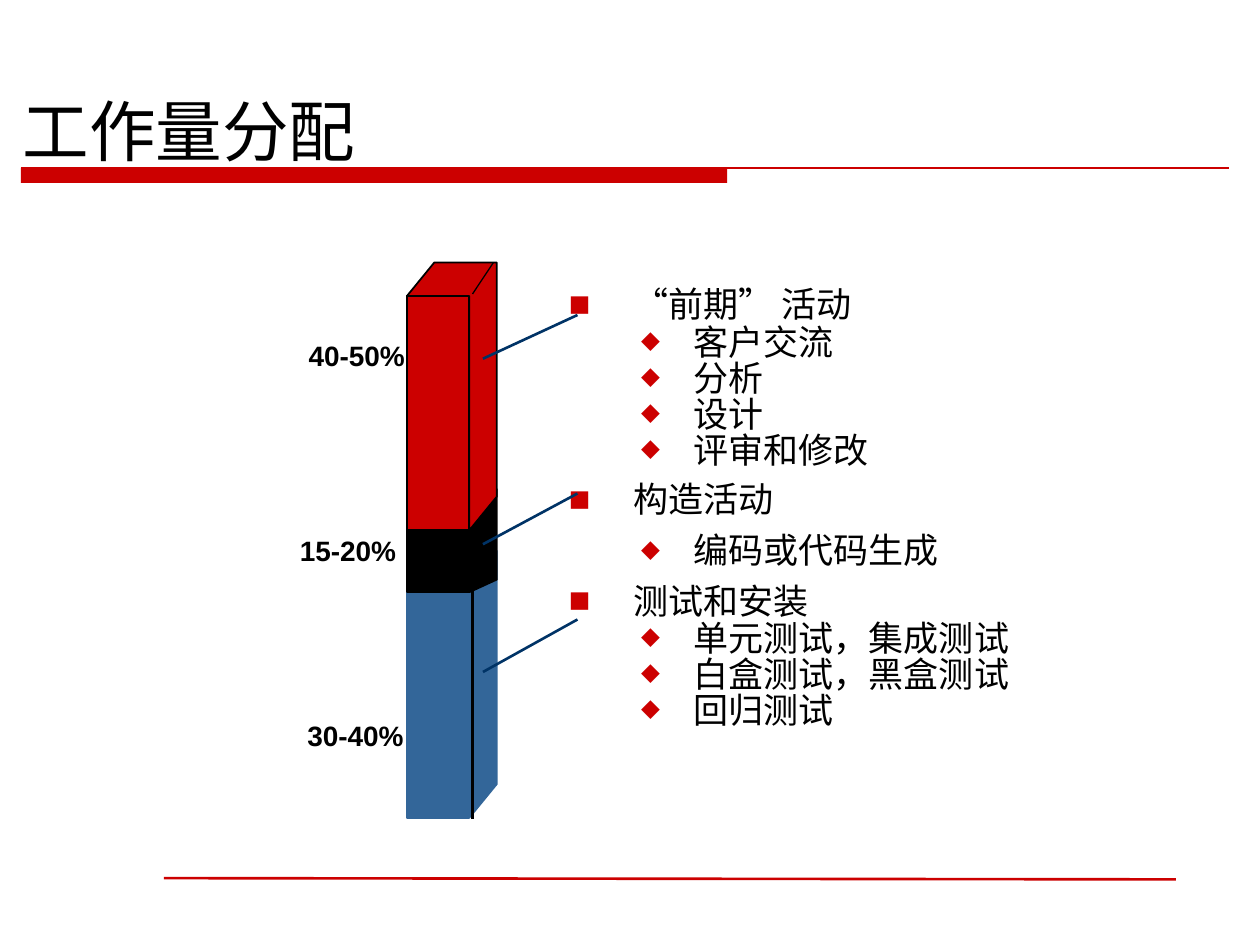
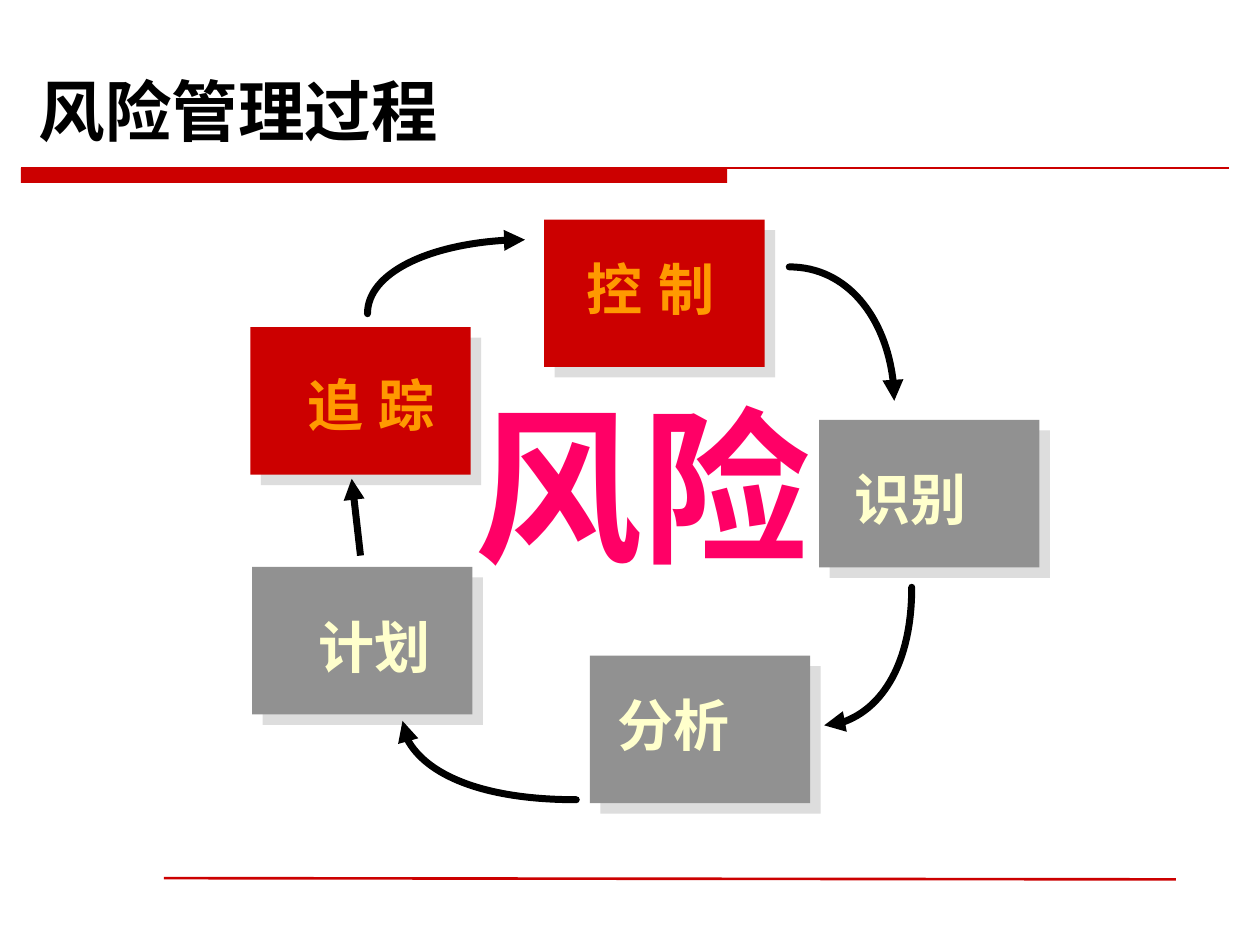
from dataclasses import dataclass

from lxml import etree
from pptx import Presentation
from pptx import util as u
from pptx.dml.color import RGBColor
from pptx.enum import lang, shapes, text
from pptx.oxml import ns

Pt = u.Pt


@dataclass(frozen=True)
class Theme:
    red: str = "CC0000"
    black: str = "000000"
    blue: str = "336699"
    navy: str = "003366"
    gray: str = "919191"
    shade: str = "DDDDDD"
    pink: str = "FF0066"
    orange: str = "FF9900"
    cream: str = "FFFFCC"
    title_font: str = "Noto Sans CJK SC"
    list_font: str = "DejaVu Sans"
    label_font: str = "Arial"
    title_size: int = 38
    list_size: int = 20
    share_size: int = 16
    stage_size: int = 32
    risk_size: int = 96


theme = Theme()

EFFORT_TITLE = ("工作量分配", (6, 50.5, 410, 50), False)
RISK_TITLE = ("风险管理过程", (15, 45.5, 510, 43.5), True)

ACTIVITIES = [
    ("“前期” 活动", theme.title_font, 0.83, ["客户交流", "分析", "设计", "评审和修改"]),
    ("构造活动", theme.list_font, 1.0, ["编码或代码生成"]),
    ("测试和安装", theme.list_font, 1.0,
     ["单元测试，集成测试", "白盒测试，黑盒测试", "回归测试"]),
]
ACTIVITIES_BOX = (318, 162, 280, 302)

BLOCKS = [
    (theme.blue, theme.blue, 334, 467.3, 19.2),
    (theme.black, theme.black, 286.6, 338.4, 7.2),
    (theme.red, theme.black, 169.2, 303, 19.2),
]
COLUMN_LEFT, COLUMN_RIGHT, COLUMN_BACK = 232.5, 268.2, 283.9

SHARES = [
    ("40-50%", 169.2, 192.2),
    ("30-40%", 168.5, 409),
    ("15-20%", 164.2, 303.8),
]
SHARE_SIZE = (76, 24.5)
EFFORT_LINES = [
    ((330, 180), (276, 205), theme.navy, 1.5),
    ((330, 282), (276, 311), theme.navy, 1.5),
    ((330, 354), (276, 384), theme.navy, 1.5),
    ((270, 336), (270, 468), theme.black, 1.5),
    ((270, 168), (282, 150), theme.black, 0.75),
]

RISK = ("风险", 264, 228, 220, 111)
STAGE_SIZE = (126, 84.25)
STAGE_LABEL_SIZE = (94, 41.8)
STAGES = [
    ("识别", (468, 240), (481, 266.4), theme.gray, theme.cream),
    ("控 制", (311, 125.5), (328.3, 146.2), theme.red, theme.orange),
    ("追 踪", (143, 187), (168.5, 212.4), theme.red, theme.orange),
    ("计划", (144, 324), (175, 350.6), theme.gray, theme.cream),
    ("分析", (337, 374.7), (345.6, 395.3), theme.gray, theme.cream),
]
CURVES = [
    ((451, 152.5), (511, 152.5), (511, 229)),
    ((521, 335.6), (521, 414.5), (471, 414.5)),
    ((329.3, 457), (230, 457), (230, 412)),
    ((210, 179.3), (210, 137), (300, 137)),
]
PLAN_TO_TRACK = ((206, 317.5), (201, 273.6))


def points(values):
    return [Pt(value) for value in values]


def rgb(color):
    return RGBColor.from_string(color)


def paint(part, fill=None, line=None, width=1):
    part.shadow.inherit = False
    if fill:
        part.fill.solid()
        part.fill.fore_color.rgb = rgb(fill)
    else:
        part.fill.background()
    if line:
        part.line.color.rgb = rgb(line)
        part.line.width = Pt(width)
    else:
        part.line.fill.background()


def add_rectangle(slide, box, fill, line=None):
    part = slide.shapes.add_shape(shapes.MSO_SHAPE.RECTANGLE, *points(box))
    paint(part, fill, line)
    return part


def add_outline(slide, corners, close):
    start, *rest = [points(corner) for corner in corners]
    builder = slide.shapes.build_freeform(*start, scale=1.0)
    builder.add_line_segments(rest, close=close)
    return builder.convert_to_shape()


def add_arrowhead(part):
    outline = part.line._get_or_add_ln()
    etree.SubElement(outline, ns.qn("a:tailEnd"), type="triangle")


def add_line(slide, start, end, color, width):
    part = slide.shapes.add_connector(
        shapes.MSO_CONNECTOR.STRAIGHT, *points(start), *points(end))
    part.line.color.rgb = rgb(color)
    part.line.width = Pt(width)
    etree.SubElement(part._element.spPr, ns.qn("a:effectLst"))
    return part


def add_curve(slide, start, corner, end):
    handles = [tuple(a + 0.55 * (c - a) for a, c in zip(anchor, corner))
               for anchor in (start, end)]
    part = add_outline(slide, [start, *handles, end], False)
    paint(part, None, theme.black, 4)
    part.line._get_or_add_ln().set("cap", "rnd")
    add_arrowhead(part)
    segments = list(part._element.iter(ns.qn("a:lnTo")))
    bend = etree.SubElement(segments[0].getparent(), ns.qn("a:cubicBezTo"))
    for segment in segments:
        bend.append(segment[0])
        segment.getparent().remove(segment)


def add_run(paragraph, words, font, size, color, bold=False):
    run = paragraph.add_run()
    run.text = words
    run.font.name = font
    run.font.size = Pt(size)
    run.font.bold = bold
    run.font.color.rgb = rgb(color)
    run.font.language_id = lang.MSO_LANGUAGE_ID.SIMPLIFIED_CHINESE
    latin = run._r.rPr.find(ns.qn("a:latin"))
    latin.addnext(latin.makeelement(ns.qn("a:ea"), {"typeface": font}))


def add_label(slide, words, box, size, color):
    frame = slide.shapes.add_textbox(*points(box)).text_frame
    frame.word_wrap = True
    paragraph = frame.paragraphs[0]
    paragraph.line_spacing = 0.9
    add_run(paragraph, words, theme.label_font, size, color, True)


def add_bullet(paragraph, mark, margin, hanging, percent):
    properties = paragraph._p.get_or_add_pPr()
    properties.set("marL", str(Pt(margin)))
    properties.set("indent", str(-Pt(hanging)))
    tint = etree.SubElement(properties, ns.qn("a:buClr"))
    etree.SubElement(tint, ns.qn("a:srgbClr"), val=theme.red)
    etree.SubElement(properties, ns.qn("a:buSzPct"), val=str(percent * 1000))
    etree.SubElement(properties, ns.qn("a:buFont"), typeface=theme.list_font)
    etree.SubElement(properties, ns.qn("a:buChar"), char=mark)


def add_activities(slide):
    frame = slide.shapes.add_textbox(*points(ACTIVITIES_BOX)).text_frame
    frame.word_wrap = True
    rows = []
    for activity, font, spacing, tasks in ACTIVITIES:
        rows.append((activity, 0, font, spacing))
        task_spacing = 0.65 if len(tasks) > 1 else 1.0
        rows += [(task, 1, theme.list_font, task_spacing) for task in tasks]
    for index, (words, level, font, spacing) in enumerate(rows):
        paragraph = frame.add_paragraph() if index else frame.paragraphs[0]
        paragraph.level = level
        paragraph.line_spacing = spacing
        paragraph.space_before = Pt(5)
        if level:
            add_bullet(paragraph, "◆", 71.3, 30, 70)
        else:
            add_bullet(paragraph, "■", 36.7, 36.7, 65)
        add_run(paragraph, words, font, theme.list_size, theme.black)


def add_page(deck, title):
    slide = deck.slides.add_slide(deck.slide_layouts[6])
    add_rectangle(slide, (12, 96, 403.5, 8.6), theme.red)
    add_line(slide, (12, 96), (702, 96), theme.red, 0.75)
    add_line(slide, (93.6, 501.8), (672, 502.5), theme.red, 1.5)
    words, box, bold = title
    frame = slide.shapes.add_textbox(*points(box)).text_frame
    frame.word_wrap = True
    frame.vertical_anchor = text.MSO_ANCHOR.BOTTOM
    add_run(frame.paragraphs[0], words, theme.title_font, theme.title_size,
            theme.black, bold)
    return slide


def build_effort(deck):
    slide = add_page(deck, EFFORT_TITLE)
    add_activities(slide)
    for fill, edge, top, bottom, depth in BLOCKS:
        front = (COLUMN_LEFT, top, COLUMN_RIGHT - COLUMN_LEFT, bottom - top)
        add_rectangle(slide, front, fill, edge)
        sides = add_outline(slide, [
            (COLUMN_RIGHT, bottom),
            (COLUMN_BACK, bottom - depth),
            (COLUMN_BACK, top - depth),
            (COLUMN_LEFT + COLUMN_BACK - COLUMN_RIGHT, top - depth),
            (COLUMN_LEFT, top),
            (COLUMN_RIGHT, top),
        ], True)
        paint(sides, fill, edge)
    for share, left, top in SHARES:
        add_label(slide, share, (left, top, *SHARE_SIZE), theme.share_size, theme.black)
    for line in EFFORT_LINES:
        add_line(slide, *line)


def build_risk(deck):
    slide = add_page(deck, RISK_TITLE)
    words, *box = RISK
    add_label(slide, words, box, theme.risk_size, theme.pink)
    for _, corner, _, fill, _ in STAGES:
        stage = add_rectangle(slide, (*corner, *STAGE_SIZE), fill)
        effects = stage._element.spPr.find(ns.qn("a:effectLst"))
        shadow = etree.SubElement(
            effects, ns.qn("a:outerShdw"), dist=str(Pt(8.5)),
            dir=str(45 * 60000), algn="ctr", rotWithShape="0")
        etree.SubElement(shadow, ns.qn("a:srgbClr"), val=theme.shade)
    for curve in CURVES:
        add_curve(slide, *curve)
    add_arrowhead(add_line(slide, *PLAN_TO_TRACK, theme.black, 4))
    for words, _, corner, _, color in STAGES:
        add_label(slide, words, (*corner, *STAGE_LABEL_SIZE), theme.stage_size, color)


def main():
    deck = Presentation()
    deck.slide_width, deck.slide_height = Pt(720), Pt(540)
    build_effort(deck)
    build_risk(deck)
    deck.save("out.pptx")


if __name__ == "__main__":
    main()
